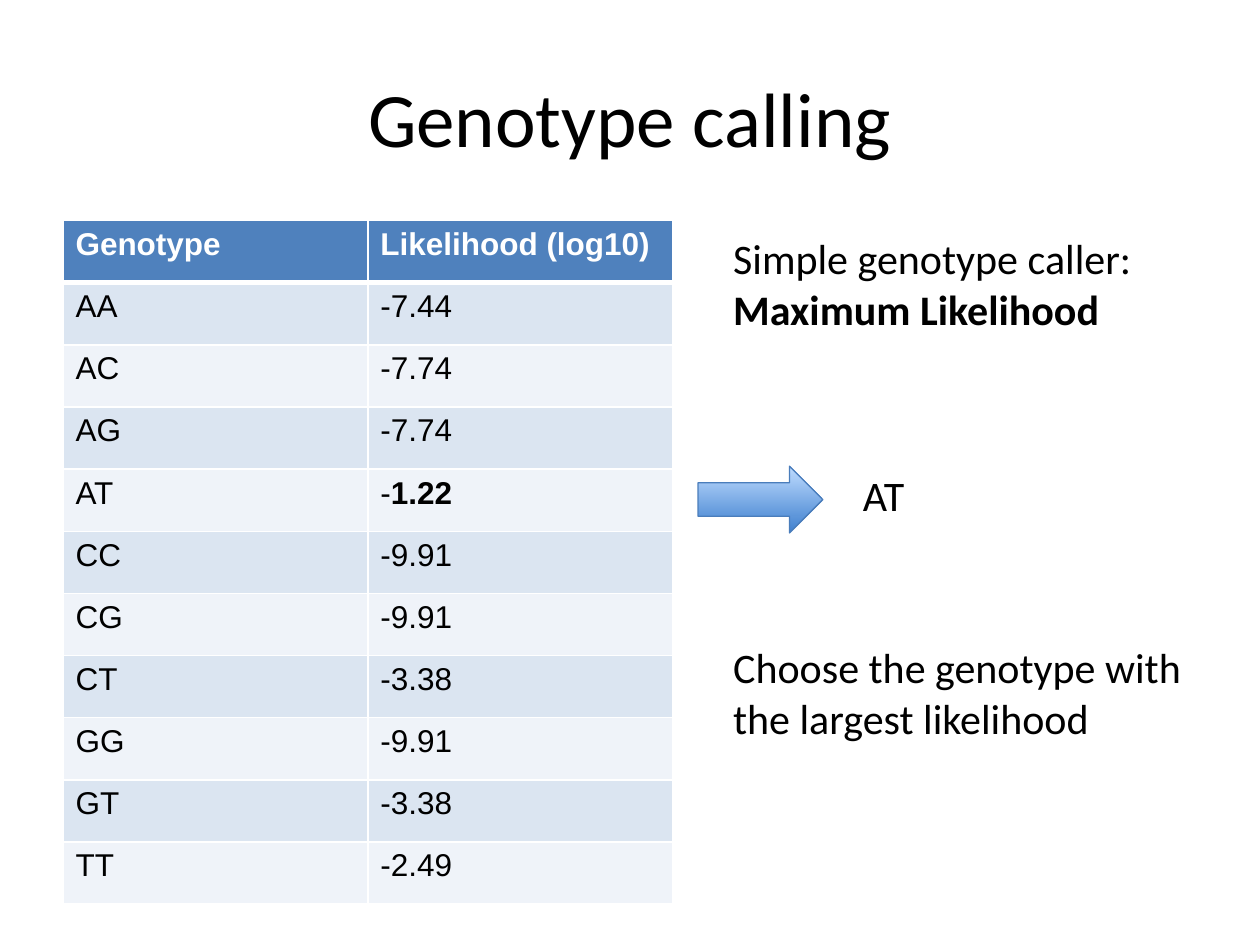
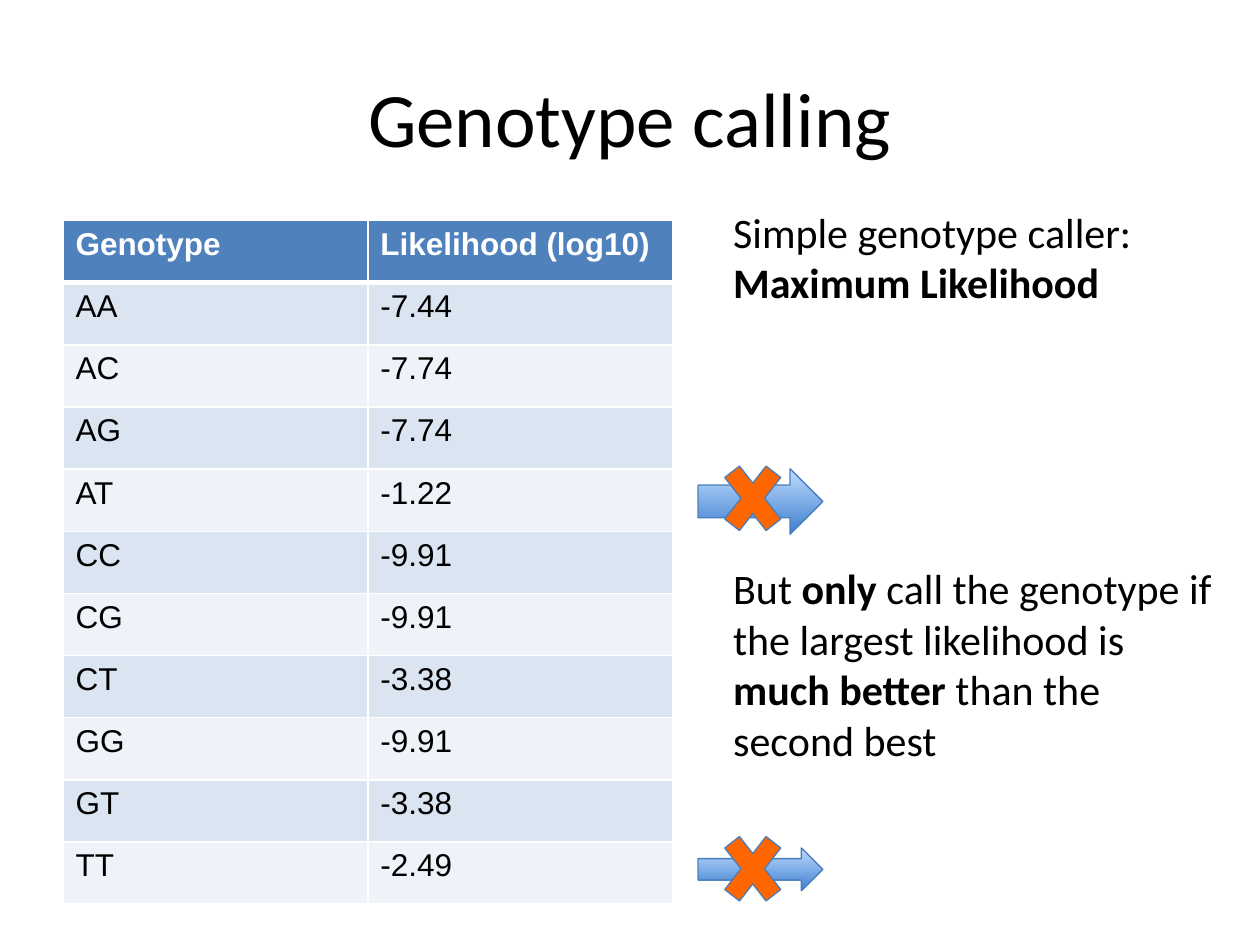
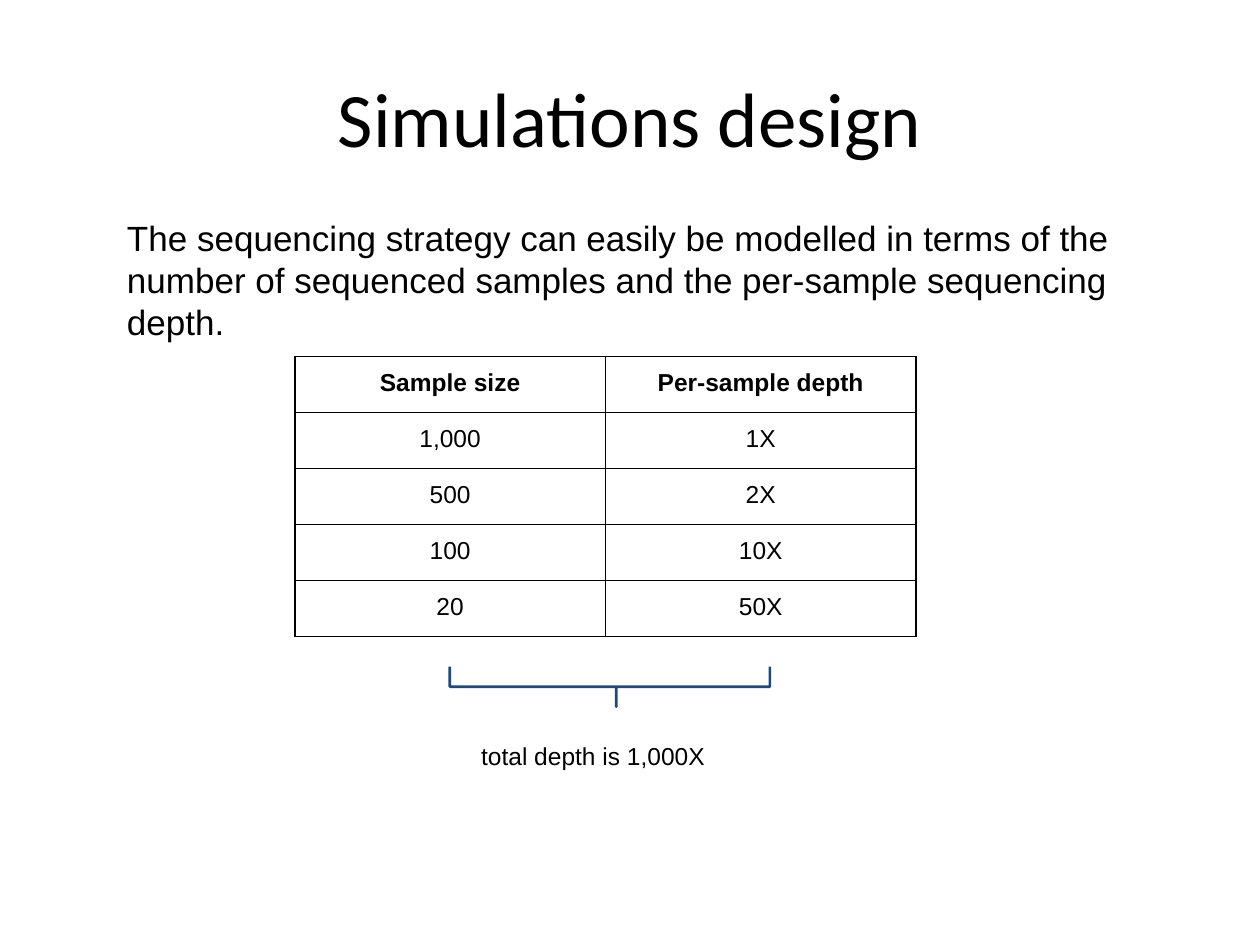
from dataclasses import dataclass

from lxml import etree
from pptx import Presentation
from pptx.dml.color import RGBColor
from pptx.enum.shapes import MSO_SHAPE
from pptx.enum.text import MSO_ANCHOR, PP_ALIGN
from pptx.oxml.ns import qn
from pptx.util import Inches, Pt

ARROW, CROSS, BRACE = MSO_SHAPE.RIGHT_ARROW, MSO_SHAPE.MATH_MULTIPLY, MSO_SHAPE.RIGHT_BRACE
CENTER, LEFT = PP_ALIGN.CENTER, PP_ALIGN.LEFT
MIDDLE, TOP = MSO_ANCHOR.MIDDLE, MSO_ANCHOR.TOP


@dataclass(frozen=True)
class Theme:
    heading: str = "Calibri"
    body: str = "Arial"
    title: int = 44
    note: int = 24
    lead: int = 20
    cell: int = 18
    small: int = 14
    black: str = "000000"
    white: str = "FFFFFF"
    header: str = "4F81BD"
    bands: tuple = ("DBE5F1", "EFF3F9")
    arrow: tuple = ("3E7FCE", "BFDCFF")
    outline: str = "4A7DBB"
    cross: str = "FF6600"
    brace: str = "1F497D"


T = Theme()
LINE = 1.22  # line height of the heading font, in ems

# Content: a paragraph is a list of (text, bold) runs
LIKELIHOODS = [
    ("Genotype", "Likelihood (log10)"),
    ("AA", "-7.44"), ("AC", "-7.74"), ("AG", "-7.74"), ("AT", "-1.22"),
    ("CC", "-9.91"), ("CG", "-9.91"), ("CT", "-3.38"), ("GG", "-9.91"),
    ("GT", "-3.38"), ("TT", "-2.49"),
]
BEST = "-1.22"
CALLER = [[("Simple genotype caller:", False)], [("Maximum Likelihood", True)]]
CALLING = [
    {
        "notes": CALLER + [[("Choose the genotype with the largest likelihood", False)]],
        "notes_top": 1.8, "notes_height": 4.14, "gap_lines": 6,
        "arrows": [(3.7, 0.53)], "crosses": [], "call": "AT",
    },
    {
        "notes": CALLER + [[
            ("But ", False), ("only", True),
            (" call the genotype if the largest likelihood is ", False),
            ("much better ", True), ("than the second best", False),
        ]],
        "notes_top": 1.59, "notes_height": 4.54, "gap_lines": 5,
        "arrows": [(3.72, 0.52), (6.73, 0.34)], "crosses": [3.55, 6.49], "call": None,
    },
]
DESIGN = [
    ("Sample size", "Per-sample depth"),
    ("1,000", "1X"), ("500", "2X"), ("100", "10X"), ("20", "50X"),
]
STRATEGY = ("The sequencing strategy can easily be modelled in terms of the number of "
            "sequenced samples and the per-sample sequencing depth.")
TOTAL = "total depth is 1,000X"


def rgb(color):
    return RGBColor.from_string(color)


def box(*lengths):
    return [Inches(n) for n in lengths]


def write(p, runs, font, size, color=T.black, align=LEFT):
    p.alignment = align
    p.font.name, p.font.size, p.font.color.rgb = font, Pt(size), rgb(color)
    for text, bold in runs:
        r = p.add_run()
        r.text, r.font.bold = text, bold


def add_text(s, at, paragraphs, font, size, align=LEFT, anchor=TOP, inset=0.05):
    tf = s.shapes.add_textbox(*box(*at)).text_frame
    tf.word_wrap, tf.vertical_anchor = True, anchor
    tf.margin_top = tf.margin_bottom = Inches(inset)
    for i, runs in enumerate(paragraphs):
        p = tf.add_paragraph() if i else tf.paragraphs[0]
        write(p, runs, font, size, align=align)
    return tf


def add_figure(s, kind, at, line, width=0.75, adjust=()):
    sp = s.shapes.add_shape(kind, *box(*at))
    sp.shadow.inherit = False
    sp.line.color.rgb, sp.line.width = rgb(line), Pt(width)
    for i, value in enumerate(adjust):
        sp.adjustments[i] = value
    return sp


def set_borders(cell, color, **widths):
    tc_pr = cell._tc.get_or_add_tcPr()
    for side in "LRTB":
        ln = etree.SubElement(tc_pr, qn("a:ln" + side), w=str(Pt(widths[side])))
        fill = etree.SubElement(ln, qn("a:solidFill"))
        etree.SubElement(fill, qn("a:srgbClr"), val=color)


def add_grid(s, at, rows, style_cell):
    table = s.shapes.add_table(len(rows), len(rows[0]), *box(*at)).table
    table.first_row = table.horz_banding = False
    for i, values in enumerate(rows):
        table.rows[i].height = Inches(at[3] / len(rows))
        for j, value in enumerate(values):
            style_cell(table.cell(i, j), i, j, value)


def likelihood_cell(mark_best):
    def style(cell, i, j, value):
        bottom, top = (3 if i == 0 else 1), (3 if i == 1 else 1)
        set_borders(cell, T.white, L=1, R=1, T=top, B=bottom)
        cell.fill.solid()
        cell.fill.fore_color.rgb = rgb(T.bands[(i - 1) % 2] if i else T.header)
        runs = [(value, i == 0)]
        if mark_best and value == BEST:
            runs = [(value[0], False), (value[1:], True)]
        write(cell.text_frame.paragraphs[0], runs, T.body, T.cell,
              T.black if i else T.white)
    return style


def design_cell(cell, i, j, value):
    thick, thin = 1, 0.5
    set_borders(cell, T.black, L=thin if j else thick, R=thick if j else thin,
                T=thick if i < 2 else thin, B=thin if i else thick)
    cell.fill.background()
    cell.margin_top = cell.margin_bottom = Inches(0.1)
    write(cell.text_frame.paragraphs[0], [(value, i == 0)], T.body, T.small, align=CENTER)


def new_slide(prs, title):
    s = prs.slides.add_slide(prs.slide_layouts[6])
    add_text(s, (0.5, 0.3, 9, 1.25), [[(title, False)]], T.heading, T.title, CENTER, MIDDLE)
    return s


def calling_slide(prs, content):
    s = new_slide(prs, "Genotype calling")
    call = content["call"]
    add_grid(s, (0.5, 1.75, 4.84, 5.43), LIKELIHOODS, likelihood_cell(bool(call)))
    # Arrows beside the candidate rows
    for top, height in content["arrows"]:
        sp = add_figure(s, ARROW, (5.54, top, 0.99, height), T.outline)
        sp.fill.gradient()
        sp.fill.gradient_angle = 90
        for stop, color in zip(sp.fill.gradient_stops, T.arrow):
            stop.color.rgb = rgb(color)
    # Notes, the last one set apart
    tf = add_text(s, (5.72, content["notes_top"], 4.09, content["notes_height"]),
                  content["notes"], T.heading, T.note)
    tf.paragraphs[-1].space_before = Pt(round(content["gap_lines"] * LINE * T.note))
    if call:
        add_text(s, (6.75, 3.68, 0.57, 0.5), [[(call, False)]], T.heading, T.note)
    # Crosses over rejected calls
    for top in content["crosses"]:
        sp = add_figure(s, CROSS, (5.66, top, 0.63, 0.81), T.outline, adjust=[0.235])
        sp.fill.solid()
        sp.fill.fore_color.rgb = rgb(T.cross)


def design_slide(prs):
    s = new_slide(prs, "Simulations design")
    add_text(s, (0.91, 1.62, 8.5, 4.99), [[(STRATEGY, False)]], T.body, T.lead, inset=0.1)
    add_grid(s, (2.34, 2.83, 4.93, 2.22), DESIGN, design_cell)
    # Brace joining both columns to the total
    brace = add_figure(s, BRACE, (4.68, 4.18, 0.32, 2.54), T.brace, 1.5, [0, 0.48])
    brace.rotation = 90
    brace.fill.background()
    add_text(s, (3.72, 5.78, 2.16, 0.59), [[(TOTAL, False)]], T.body, T.small, inset=0.1)


def main():
    prs = Presentation()
    prs.slide_width, prs.slide_height = box(10, 7.5)
    for content in CALLING:
        calling_slide(prs, content)
    design_slide(prs)
    prs.save("out.pptx")


if __name__ == "__main__":
    main()
